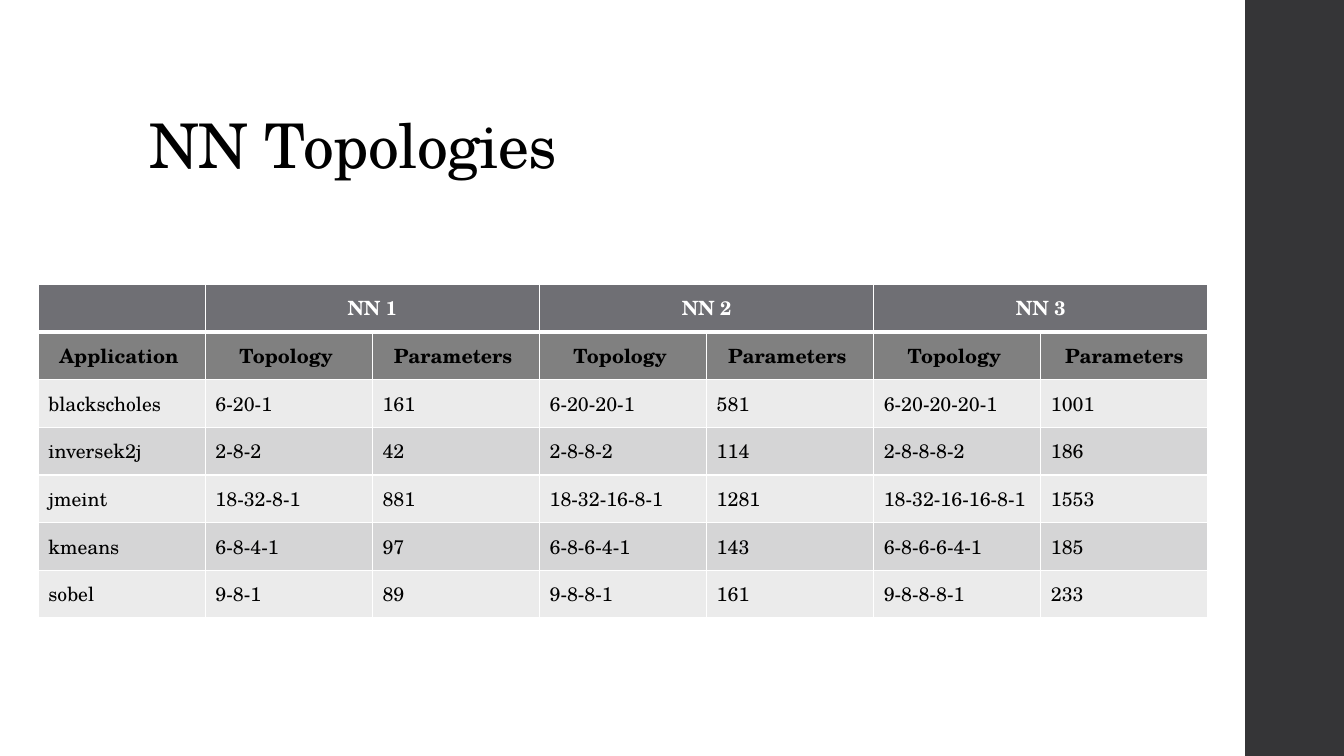
from lxml.etree import SubElement
from pptx import Presentation
from pptx.dml.color import RGBColor
from pptx.enum.shapes import MSO_SHAPE
from pptx.enum.text import MSO_ANCHOR, PP_ALIGN
from pptx.oxml.ns import qn
from pptx.util import Inches, Pt

TITLE = "NN Topologies"
NETWORKS = ["NN 1", "NN 2", "NN 3"]
# Each heading but the last ends in a space, which nudges its centring.
HEADINGS = ["Application "] + ["Topology ", "Parameters "] * 2 + ["Topology ", "Parameters"]
APPLICATIONS = [
    ("blackscholes", "6-20-1", "161", "6-20-20-1", "581", "6-20-20-20-1", "1001"),
    ("inversek2j", "2-8-2", "42", "2-8-8-2", "114", "2-8-8-8-2", "186"),
    ("jmeint", "18-32-8-1", "881", "18-32-16-8-1", "1281", "18-32-16-16-8-1", "1553"),
    ("kmeans", "6-8-4-1", "97", "6-8-6-4-1", "143", "6-8-6-6-4-1", "185"),
    ("sobel", "9-8-1", "89", "9-8-8-1", "161", "9-8-8-8-1", "233"),
]
COLORS = {
    "sidebar": "353537", "text": "000000", "white": "FFFFFF",
    "network": "6F6F74", "heading": "808080", "odd": "EBEBEB", "even": "D5D5D6",
}
FONT = "TeX Gyre Schola"
SLIDE_WIDTH, SLIDE_HEIGHT = 13.33, 7.5
SIDEBAR_LEFT, SIDEBAR_WIDTH = 12.35, 1
TITLE_BOX = (1.38, 0.4, 10.6, 1.45)
TABLE_BOX = (0.38, 2.82, 11.6, 3.31)


def color(name):
    return RGBColor.from_string(COLORS[name])


def set_font(span, size, color_name, bold=False):
    span.font.name = FONT
    span.font.size = Pt(size)
    span.font.bold = bold
    span.font.color.rgb = color(color_name)


def add_borders(cell, top, bottom):
    properties = cell._tc.get_or_add_tcPr()
    for side, width in (("L", 1), ("R", 1), ("T", top), ("B", bottom)):
        line = SubElement(properties, qn(f"a:ln{side}"), w=str(Pt(width)))
        fill = SubElement(line, qn("a:solidFill"))
        SubElement(fill, qn("a:srgbClr"), val=COLORS["white"])


def row_style(row):
    """Return fill, text colour, boldness and alignment of a table row."""
    if row == 0:
        return "network", "white", True, PP_ALIGN.CENTER
    if row == 1:
        return "heading", "text", True, PP_ALIGN.CENTER
    return ("even" if row % 2 else "odd"), "text", False, PP_ALIGN.LEFT


def add_title(page):
    box = page.shapes.add_textbox(*map(Inches, TITLE_BOX))
    frame = box.text_frame
    frame.word_wrap = True
    frame.vertical_anchor = MSO_ANCHOR.BOTTOM
    frame.text = TITLE
    para = frame.paragraphs[0]
    para.line_spacing = 0.9
    span = para.runs[0]
    set_font(span, 44, "text")
    span._r.get_or_add_rPr().set("spc", "-50")


def add_topology_table(page):
    network_row = [""]
    for network in NETWORKS:
        network_row += [network, ""]
    rows = [network_row, HEADINGS, *APPLICATIONS]
    left, top, width, height = map(Inches, TABLE_BOX)
    table = page.shapes.add_table(
        len(rows), len(HEADINGS), left, top, width, height).table
    for column in table.columns:
        column.width = width // len(HEADINGS)
    for row in table.rows:
        row.height = height // len(rows)
    for row, values in enumerate(rows):
        fill, text_color, bold, alignment = row_style(row)
        for column, value in enumerate(values):
            cell = table.cell(row, column)
            add_borders(cell, top=3 if row == 1 else 1, bottom=3 if row == 0 else 1)
            cell.fill.solid()
            cell.fill.fore_color.rgb = color(fill)
            cell.vertical_anchor = MSO_ANCHOR.MIDDLE
            if value:
                cell.text_frame.text = value
                para = cell.text_frame.paragraphs[0]
                para.alignment = alignment
                set_font(para.runs[0], 14, text_color, bold)
    for column in range(1, len(HEADINGS), 2):
        table.cell(0, column).merge(table.cell(0, column + 1))


def main():
    deck = Presentation()
    deck.slide_width, deck.slide_height = Inches(SLIDE_WIDTH), Inches(SLIDE_HEIGHT)
    page = deck.slides.add_slide(deck.slide_layouts[6])
    sidebar = page.shapes.add_shape(
        MSO_SHAPE.RECTANGLE, Inches(SIDEBAR_LEFT), 0,
        Inches(SIDEBAR_WIDTH), deck.slide_height)
    sidebar.shadow.inherit = False
    sidebar.fill.solid()
    sidebar.fill.fore_color.rgb = color("sidebar")
    sidebar.line.fill.background()
    add_title(page)
    add_topology_table(page)
    deck.save("out.pptx")


if __name__ == "__main__":
    main()
